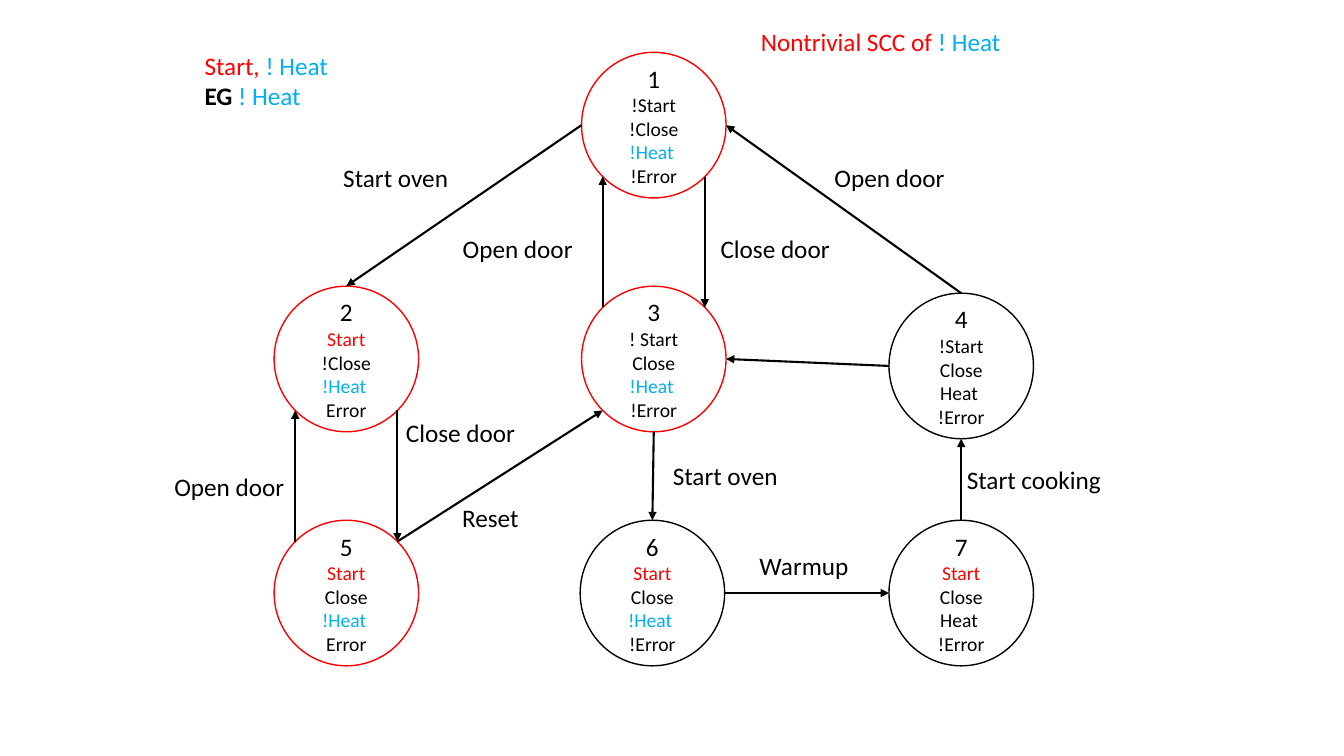
from dataclasses import dataclass
from math import sqrt

from lxml.etree import SubElement
from pptx import Presentation
from pptx.dml.color import RGBColor
from pptx.enum.shapes import MSO_CONNECTOR, MSO_SHAPE
from pptx.enum.text import MSO_ANCHOR, MSO_AUTO_SIZE, PP_ALIGN
from pptx.oxml.ns import qn
from pptx.util import Pt


@dataclass(frozen=True)
class Theme:
    font: str = "Calibri"
    black: RGBColor = RGBColor(0, 0, 0)
    white: RGBColor = RGBColor(255, 255, 255)
    red: RGBColor = RGBColor(255, 0, 0)
    blue: RGBColor = RGBColor(0, 176, 240)
    label_size: float = 18
    state_size: float = 14
    outline: float = 1
    arrow: float = 1.5


class Diagram:
    def __init__(self, slide, theme):
        self.s = slide
        self.t = theme

    def run(self, p, text, color, size, bold=False):
        r = p.add_run()
        r.text = text
        r.font.name = self.t.font
        r.font.size = Pt(size)
        r.font.bold = bold
        r.font.color.rgb = color

    def paragraphs(self, tf, lines, align):
        for i, runs in enumerate(lines):
            p = tf.add_paragraph() if i else tf.paragraphs[0]
            p.alignment = align
            for run in runs:
                self.run(p, *run)

    def state(self, x, y, w, h, name, facts, in_component):
        t = self.t
        sp = self.s.shapes.add_shape(MSO_SHAPE.OVAL, Pt(x), Pt(y), Pt(w), Pt(h))
        sp.name = f"State {name}"
        sp.shadow.inherit = False
        sp.fill.solid()
        sp.fill.fore_color.rgb = t.white
        sp.line.color.rgb = t.red if in_component else t.black
        sp.line.width = Pt(t.outline)
        tf = sp.text_frame
        tf.word_wrap = True
        tf.vertical_anchor = MSO_ANCHOR.MIDDLE
        colors = {"Start": t.red, "!Heat ": t.blue}
        lines = [[(name, t.black, t.label_size)]]
        lines += [[(f, colors.get(f, t.black), t.state_size)] for f in facts]
        self.paragraphs(tf, lines, PP_ALIGN.CENTER)

    def text(self, x, y, w, h, lines, align=PP_ALIGN.LEFT):
        sp = self.s.shapes.add_textbox(Pt(x), Pt(y), Pt(w), Pt(h))
        tf = sp.text_frame
        tf.word_wrap = False
        tf.auto_size = MSO_AUTO_SIZE.SHAPE_TO_FIT_TEXT
        self.paragraphs(tf, lines, align)

    def label(self, text, x, y, w):
        line = [(text, self.t.black, self.t.label_size)]
        self.text(x, y, w, LABEL_H, [line], PP_ALIGN.CENTER)

    def arrow(self, start, end):
        cn = self.s.shapes.add_connector(
            MSO_CONNECTOR.STRAIGHT, *[Pt(v) for v in (*start, *end)])
        cn.line.color.rgb = self.t.black
        cn.line.width = Pt(self.t.arrow)
        ln = cn.line._get_or_add_ln()
        SubElement(ln, qn("a:tailEnd"), type="triangle")
        SubElement(cn._element.spPr, qn("a:effectLst"))


STATE_W, STATE_H = 103.2, 104
LABEL_H = 29
LEFT, MIDDLE, RIGHT = 195.8, 415.4, 635
TOP, CENTER, BOTTOM = 37.4, 204.4, 371.6

STATES = {
    "1": (MIDDLE, TOP, ["!Start", "!Close", "!Heat ", "!Error"], True),
    "2": (LEFT, CENTER, ["Start", "!Close", "!Heat ", "Error"], True),
    "3": (MIDDLE, CENTER, ["! Start", "Close", "!Heat ", "!Error"], True),
    "4": (RIGHT, CENTER + 5, ["!Start", "Close", "Heat ", "!Error"], False),
    "5": (LEFT, BOTTOM, ["Start", "Close", "!Heat ", "Error"], True),
    "6": (MIDDLE - 1, BOTTOM, ["Start", "Close", "!Heat ", "!Error"], False),
    "7": (RIGHT, BOTTOM, ["Start", "Close", "Heat ", "!Error"], False),
}

D = sqrt(0.5)
SIDES = {
    "n": (0, -1), "s": (0, 1), "w": (-1, 0), "e": (1, 0),
    "nw": (-D, -D), "ne": (D, -D), "sw": (-D, D), "se": (D, D),
}

TRANSITIONS = [
    ("1", "w", "2", "n"), ("1", "se", "3", "ne"), ("3", "nw", "1", "sw"),
    ("4", "n", "1", "e"), ("4", "w", "3", "e"), ("3", "s", "6", "n"),
    ("6", "e", "7", "w"), ("7", "n", "4", "s"), ("5", "ne", "3", "sw"),
    ("5", "nw", "2", "sw"), ("2", "se", "5", "ne"),
]

LABELS = [
    ("Start oven", 237.6, 112.3, 90), ("Open door", 588.2, 112.3, 94.3),
    ("Close door", 506.9, 163.4, 93.6), ("Open door", 322.6, 163.4, 94.3),
    ("Start oven", 473, 325.4, 90), ("Warmup", 535, 389.5, 78.5),
    ("Start cooking", 682.6, 328.3, 111.6), ("Reset", 322.6, 355, 55.4),
    ("Open door", 116.6, 333.4, 94.3), ("Close door", 282.2, 294.5, 93.6),
]


def rim(name, side):
    x, y = STATES[name][:2]
    dx, dy = SIDES[side]
    return x + STATE_W / 2 * (1 + dx), y + STATE_H / 2 * (1 + dy)


def main():
    prs = Presentation()
    prs.slide_width, prs.slide_height = Pt(960), Pt(540)
    t = Theme()
    d = Diagram(prs.slides.add_slide(prs.slide_layouts[6]), t)

    for name, (x, y, facts, in_component) in STATES.items():
        d.state(x, y, STATE_W, STATE_H, name, facts, in_component)
    for source, source_side, target, target_side in TRANSITIONS:
        d.arrow(rim(source, source_side), rim(target, target_side))
    for label in LABELS:
        d.label(*label)

    heat = ("! Heat", t.blue, t.label_size)
    d.text(139, 32.4, 104.4, 51, [
        [("Start, ", t.red, t.label_size), heat],
        [("EG ", t.black, t.label_size, True), heat],
    ])
    d.text(536.4, 15.1, 188, LABEL_H,
           [[("Nontrivial SCC of ", t.red, t.label_size), heat]])
    prs.save("out.pptx")


if __name__ == "__main__":
    main()
